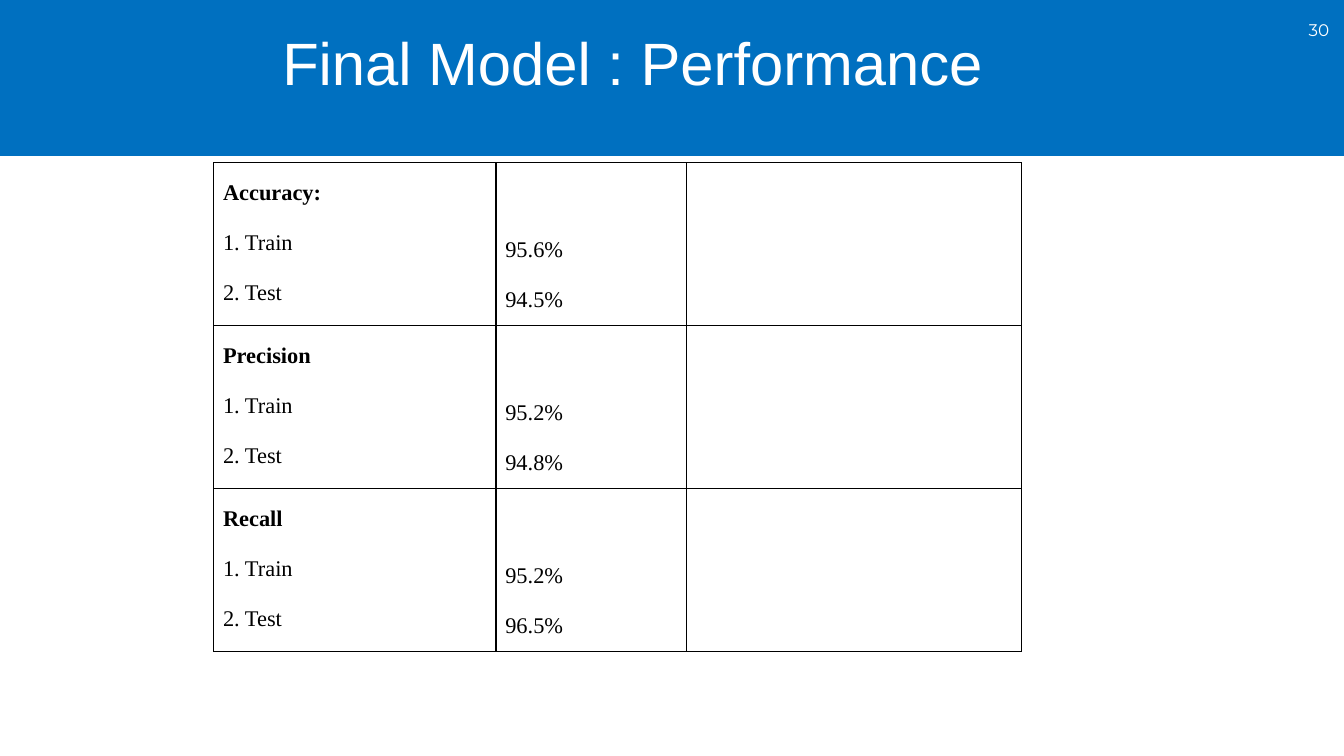
from dataclasses import dataclass

from lxml import etree
from pptx import Presentation
from pptx.dml.color import RGBColor
from pptx.enum.shapes import MSO_SHAPE
from pptx.enum.text import MSO_ANCHOR, PP_ALIGN
from pptx.oxml.ns import qn
from pptx.util import Inches, Pt

RECTANGLE = MSO_SHAPE.RECTANGLE
TOP, MIDDLE, BOTTOM = MSO_ANCHOR.TOP, MSO_ANCHOR.MIDDLE, MSO_ANCHOR.BOTTOM
CENTER, RIGHT, JUSTIFY = PP_ALIGN.CENTER, PP_ALIGN.RIGHT, PP_ALIGN.JUSTIFY


@dataclass(frozen=True)
class Theme:
    band: str = "0070C0"
    light: str = "FFFFFF"
    ink: str = "000000"
    title_font: str = "Arial"
    number_font: str = "Montserrat"
    table_font: str = "Times New Roman"
    title_size: float = 32
    number_size: float = 9
    table_size: float = 12
    border: float = 0.68


THEME = Theme()
WIDTH = 10
HEIGHT = WIDTH * 9 / 16
COLUMNS = (2.1, 1.42, 2.49)
ROW_HEIGHT = 0.92
TABLE_SIDE = 3.28
METRICS = (
    ("Accuracy:", "95.6%", "94.5%"),
    ("Precision", "95.2%", "94.8%"),
    ("Recall", "95.2%", "96.5%"),
)


def box(*lengths):
    return [Inches(n) for n in lengths]


def style_paragraph(p, font, size, color, align, bold=False):
    p.alignment = align
    for r in p.runs:
        r.font.name = font
        r.font.size = Pt(size)
        r.font.bold = bold
        r.font.color.rgb = RGBColor.from_string(color)


def set_frame(tf, anchor, inset_x, inset_y):
    tf.word_wrap = True
    tf.vertical_anchor = anchor
    tf.margin_left = tf.margin_right = Inches(inset_x)
    tf.margin_top = tf.margin_bottom = Inches(inset_y)


def add_band(slide):
    sp = slide.shapes.add_shape(RECTANGLE, *box(0, 0, WIDTH, 1.16))
    sp.shadow.inherit = False
    sp.fill.solid()
    sp.fill.fore_color.rgb = RGBColor.from_string(THEME.band)
    sp.line.fill.background()
    slide.shapes.title.element.addprevious(sp.element)


def set_title(slide, text):
    sp = slide.shapes.title
    sp.left, sp.top, sp.width, sp.height = box(0.21, 0.18, 9, 0.94)
    tf = sp.text_frame
    tf.text = text
    set_frame(tf, TOP, 0.07, 0.07)
    p = tf.paragraphs[0]
    p.line_spacing = 0.9
    style_paragraph(p, THEME.title_font, THEME.title_size, THEME.light, CENTER)


def add_page_number(slide, text):
    sp = slide.shapes.add_textbox(*box(9.57, 0.07, 0.39, 0.3))
    tf = sp.text_frame
    tf.text = text
    set_frame(tf, MIDDLE, 0.07, 0.04)
    style_paragraph(tf.paragraphs[0], THEME.number_font, THEME.number_size,
                    THEME.light, RIGHT)


def set_borders(cell):
    props = cell._tc.get_or_add_tcPr()
    for i, side in enumerate(("lnL", "lnR", "lnT", "lnB")):
        ln = etree.Element(qn(f"a:{side}"), w=str(Pt(THEME.border)))
        fill = etree.SubElement(ln, qn("a:solidFill"))
        etree.SubElement(fill, qn("a:srgbClr"), val=THEME.ink)
        props.insert(i, ln)


def fill_cell(cell, lines, anchor, heading=False):
    cell.text_frame.text = "\n".join(lines)
    cell.vertical_anchor = anchor
    cell.margin_left = cell.margin_right = Inches(0.07)
    cell.margin_top = cell.margin_bottom = Inches(0.1)
    for i, p in enumerate(cell.text_frame.paragraphs):
        p.line_spacing = 1.18
        p.space_before = Pt(11)
        style_paragraph(p, THEME.table_font, THEME.table_size, THEME.ink,
                        JUSTIFY, bold=heading and i == 0)
    p.space_after = Pt(8)


def add_metrics_table(slide):
    frame = slide.shapes.add_table(
        len(METRICS), len(COLUMNS), *box(1.59, 1.21, TABLE_SIDE, TABLE_SIDE))
    table = frame.table
    table.first_row = table.horz_banding = False
    for column, width in zip(table.columns, COLUMNS):
        column.width = Inches(width)
    for row, (name, train, test) in zip(table.rows, METRICS):
        row.height = Inches(ROW_HEIGHT)
        for cell in row.cells:
            cell.fill.background()
            set_borders(cell)
        fill_cell(row.cells[0], (name, "1. Train", "2. Test"), TOP, heading=True)
        fill_cell(row.cells[1], (train, test), BOTTOM)
    frame.width = frame.height = Inches(TABLE_SIDE)


def main():
    prs = Presentation()
    prs.slide_width, prs.slide_height = box(WIDTH, HEIGHT)
    slide = prs.slides.add_slide(prs.slide_layouts[5])
    add_band(slide)
    set_title(slide, "Final Model : Performance")
    add_page_number(slide, "30")
    add_metrics_table(slide)
    prs.save("out.pptx")


if __name__ == "__main__":
    main()
